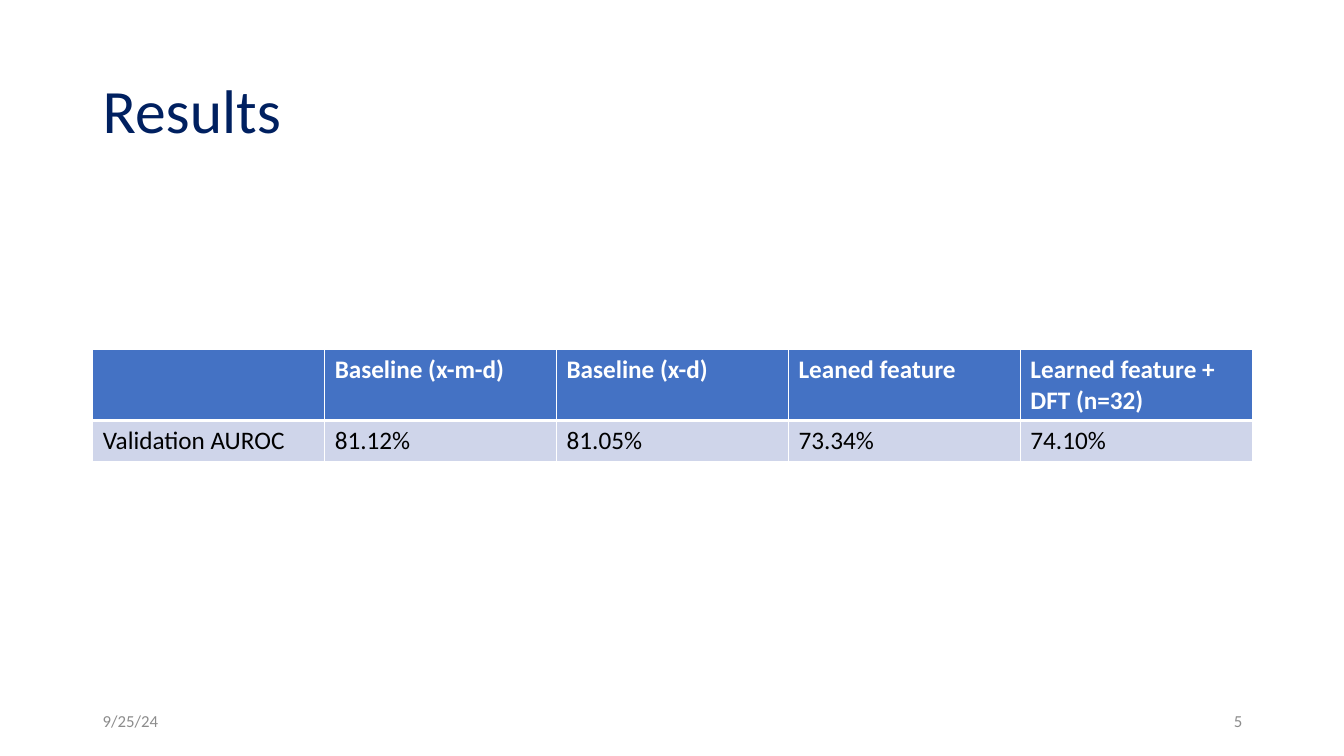
from lxml import etree
from pptx import Presentation
from pptx.dml.color import RGBColor
from pptx.enum.text import MSO_ANCHOR, PP_ALIGN
from pptx.oxml.ns import qn
from pptx.util import Inches, Pt

LEFT, RIGHT, MIDDLE = PP_ALIGN.LEFT, PP_ALIGN.RIGHT, MSO_ANCHOR.MIDDLE
NAVY = RGBColor(0x00, 0x20, 0x60)
BLUE = RGBColor(0x44, 0x72, 0xC4)
PALE_BLUE = RGBColor(0xCF, 0xD5, 0xEA)
GRAY = RGBColor(0x8C, 0x8C, 0x8C)
WHITE = RGBColor(0xFF, 0xFF, 0xFF)
BLACK = RGBColor(0x00, 0x00, 0x00)
FONT = "Calibri"

MARGIN, CONTENT_W = 0.92, 11.5
RESULTS = [
    ["", "Baseline (x-m-d)", "Baseline (x-d)", "Leaned feature", "Learned feature + DFT (n=32)"],
    ["Validation AUROC", "81.12%", "81.05%", "73.34%", "74.10%"],
]
ROW_HEIGHTS = [0.7, 0.41]
ROW_STYLES = [(BLUE, WHITE, True, 3), (PALE_BLUE, BLACK, False, 1)]


def write(p, text, size, color, bold=False):
    """Add a formatted run to a paragraph."""
    r = p.add_run()
    r.text = text
    for name, value in {"name": FONT, "size": Pt(size), "bold": bold}.items():
        setattr(r.font, name, value)
    r.font.color.rgb = color


def add_text(s, box, text, size, color, align=LEFT, spacing=1.0):
    """Place one vertically centred line of text in a box."""
    tf = s.shapes.add_textbox(*map(Inches, box)).text_frame
    tf.word_wrap = True
    tf.vertical_anchor = MIDDLE
    p = tf.paragraphs[0]
    p.alignment, p.line_spacing = align, spacing
    write(p, text, size, color)


def set_borders(cell, widths):
    """Draw white cell borders with the given point widths by side."""
    tc_pr = cell._tc.get_or_add_tcPr()
    for side, width in widths.items():
        ln = etree.SubElement(tc_pr, qn(f"a:ln{side}"), w=str(Pt(width)))
        fill = etree.SubElement(ln, qn("a:solidFill"))
        etree.SubElement(fill, qn("a:srgbClr"), val=str(WHITE))


def add_results(s, box):
    """Place the results table in a box with equal columns."""
    rows, cols = len(RESULTS), len(RESULTS[0])
    table = s.shapes.add_table(rows, cols, *map(Inches, box)).table
    for col in table.columns:
        col.width = Inches(box[2] / cols)
    top = 1
    for i, (fill, color, bold, bottom) in enumerate(ROW_STYLES):
        table.rows[i].height = Inches(ROW_HEIGHTS[i])
        for j, text in enumerate(RESULTS[i]):
            cell = table.cell(i, j)
            set_borders(cell, {"L": 1, "R": 1, "T": top, "B": bottom})
            cell.fill.solid()
            cell.fill.fore_color.rgb = fill
            if text:
                write(cell.text_frame.paragraphs[0], text, 18, color, bold)
        top = bottom


def add_footer(s, box):
    """Place the date and page number at the two ends of a box."""
    left, top, width, height = box
    part = 3
    add_text(s, (left, top, part, height), "9/25/24", 12, GRAY)
    add_text(s, (left + width - part, top, part, height), "5", 12, GRAY, RIGHT)


def main():
    """Build and save the results slide."""
    prs = Presentation()
    prs.slide_width, prs.slide_height = Inches(13.33), Inches(7.5)
    s = prs.slides.add_slide(prs.slide_layouts[6])
    add_text(s, (MARGIN, 0.4, CONTENT_W, 1.45), "Results", 44, NAVY, spacing=0.9)
    add_results(s, (MARGIN, 3.47, CONTENT_W, sum(ROW_HEIGHTS)))
    add_footer(s, (MARGIN, 6.95, CONTENT_W, 0.4))
    prs.save("out.pptx")


if __name__ == "__main__":
    main()
